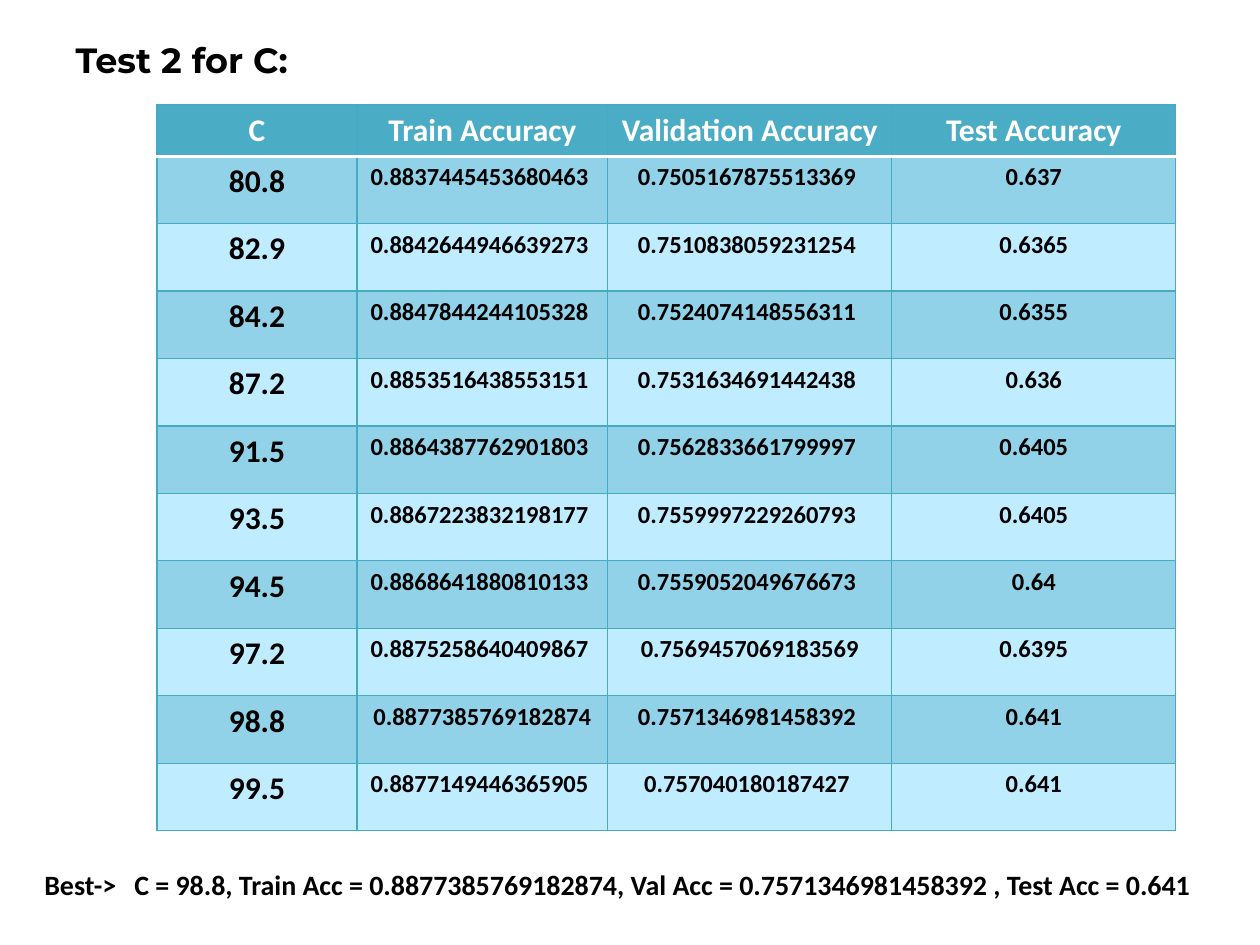
from pptx import Presentation
from pptx.dml.color import RGBColor
from pptx.enum.text import MSO_ANCHOR as Anchor, MSO_AUTO_SIZE as Auto, PP_ALIGN as Align
from pptx.util import Pt
from pptx.oxml import parse_xml

NS = 'xmlns:a="http://schemas.openxmlformats.org/drawingml/2006/main"'
PX = 914400 // 126


def rgb(hue):
    return RGBColor.from_string(hue)


def write(frame, text, size=14, hue="000000", font="Calibri", align=Align.CENTER):
    frame.vertical_anchor = Anchor.TOP
    par = frame.paragraphs[0]
    par.alignment = align
    run = par.add_run()
    run.text = text
    run.font.size = Pt(size)
    run.font.name = font
    run.font.bold = True
    run.font.color.rgb = rgb(hue)
    return par


deck = Presentation()
deck.slide_width, deck.slide_height = 1260 * PX, 945 * PX
slide = deck.slides.add_slide(deck.slide_layouts[5])

title = slide.shapes.title
title.left, title.top, title.width, title.height = [n * PX for n in (63, 32, 357, 55)]
title.text_frame.auto_size = Auto.NONE
write(title.text_frame, "Test 2 for C:", size=20, font="Montserrat", align=Align.LEFT)

rows = [
    ("C", "Train Accuracy", "Validation Accuracy", "Test Accuracy"),
    ("80.8", "0.8837445453680463 ", "0.7505167875513369 ", "0.637"),
    ("82.9", "0.8842644946639273 ", "0.7510838059231254 ", "0.6365"),
    ("84.2", "0.8847844244105328 ", "0.7524074148556311 ", "0.6355"),
    ("87.2", "0.8853516438553151 ", "0.7531634691442438 ", "0.636"),
    ("91.5", "0.8864387762901803 ", "0.7562833661799997 ", "0.6405"),
    ("93.5", "0.8867223832198177 ", "0.7559997229260793 ", "0.6405"),
    ("94.5", "0.8868641880810133 ", "0.7559052049676673 ", "0.64"),
    ("97.2", "0.8875258640409867 ", "0.7569457069183569", "0.6395"),
    ("98.8", "0.8877385769182874", "0.7571346981458392 ", "0.641"),
    ("99.5", "0.8877149446365905 ", "0.757040180187427 ", "0.641"),
]
widths = [200, 251, 284, 284]
head, body = 51, 675
frame = slide.shapes.add_table(len(rows), len(widths), 157 * PX, 105 * PX,
                               sum(widths) * PX, (head + body) * PX)
table = frame.table
for col, width in zip(table.columns, widths):
    col.width = width * PX
for r, row in enumerate(rows):
    table.rows[r].height = body * PX // (len(rows) - 1) if r else head * PX
    fill = ("BFECFF" if r % 2 == 0 else "91D2E8") if r else "4BACC6"
    for c, text in enumerate(row):
        cell = table.cell(r, c)
        props = cell._tc.get_or_add_tcPr()
        for side in "LRTB":
            white = (r, side) in ((0, "B"), (1, "T"))
            hue, wide = ("FFFFFF", 2) if white else ("46AAC5", 0.75)
            props.append(parse_xml(
                f'<a:ln{side} {NS} w="{Pt(wide)}"><a:solidFill><a:srgbClr val="{hue}"/>'
                f'</a:solidFill></a:ln{side}>'))
        cell.fill.solid()
        cell.fill.fore_color.rgb = rgb(fill)
        write(cell.text_frame, text, size=14 if r and c else 18,
              hue="000000" if r else "FFFFFF")

best = slide.shapes.add_textbox(*[n * PX for n in (32, 861, 1197, 47)])
best.text_frame.word_wrap = True
line = write(best.text_frame, "Best->\tC = 98.8, Train Acc = 0.8877385769182874, "
             "Val Acc = 0.7571346981458392 , Test Acc = 0.641", size=16, align=Align.LEFT)
line._p.get_or_add_pPr().append(parse_xml(
    f'<a:tabLst {NS}><a:tab pos="{90 * PX}" algn="l"/></a:tabLst>'))

deck.save("out.pptx")
